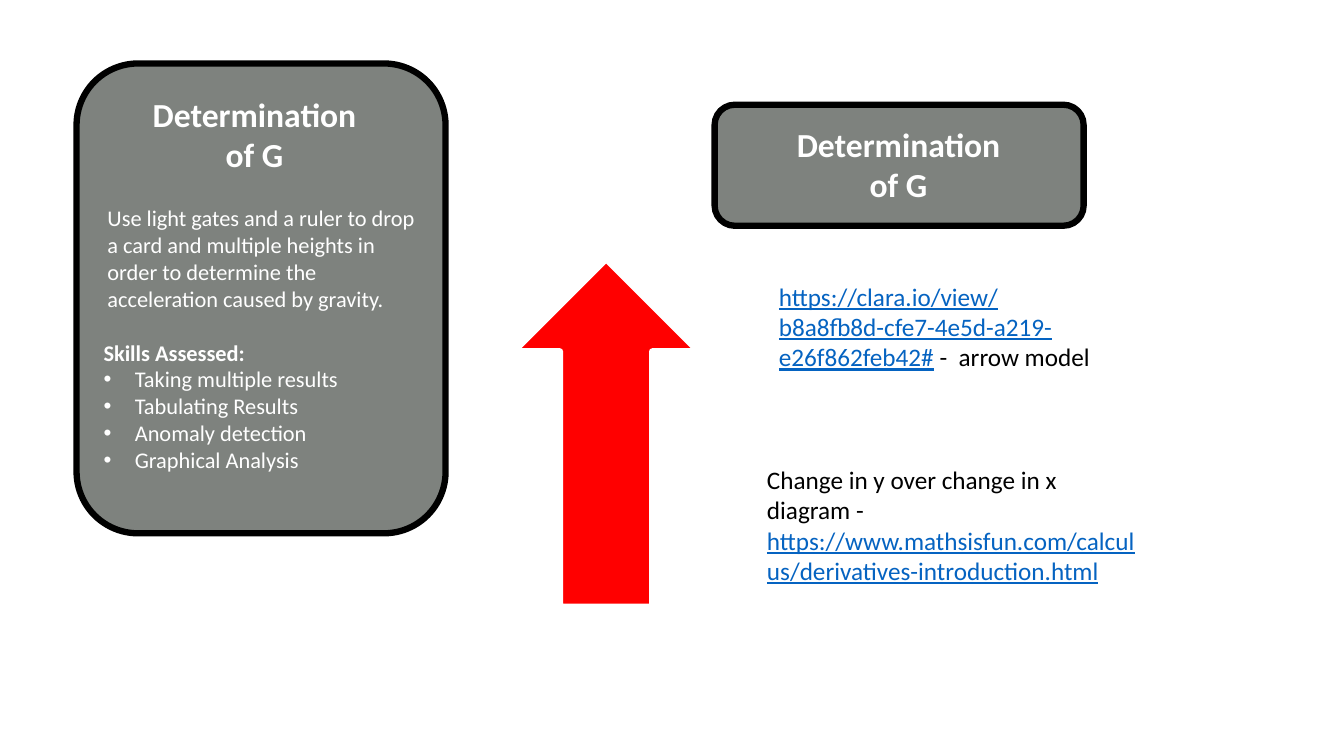
from dataclasses import dataclass

from lxml.etree import SubElement
from pptx import Presentation
from pptx.dml.color import RGBColor
from pptx.enum.shapes import MSO_SHAPE
from pptx.enum.text import MSO_AUTO_SIZE, PP_ALIGN
from pptx.oxml.ns import qn
from pptx.slide import Slide
from pptx.text.text import _Paragraph
from pptx.util import Cm, Pt

COLOURS = {
    "card": "7E827E",
    "black": "000000",
    "white": "FFFFFF",
    "arrow": "FF0000",
    "link": "0563C1",
}
BULLET_INDENT = Cm(0.79)


@dataclass(frozen=True)
class Area:
    left: float
    top: float
    width: float
    height: float

    def lengths(self) -> list[Cm]:
        return [Cm(value) for value in (self.left, self.top, self.width, self.height)]


@dataclass(frozen=True)
class Block:
    kind: MSO_SHAPE
    area: Area
    fill: str
    line: str


@dataclass(frozen=True)
class Span:
    text: str
    colour: str = "white"
    bold: bool = False
    underline: bool = False


@dataclass(frozen=True)
class Line:
    spans: list[Span]
    bullet: bool = False


@dataclass(frozen=True)
class Note:
    area: Area
    size: int
    lines: list[Line]
    align: PP_ALIGN = PP_ALIGN.LEFT


TITLE = [Line([Span("Determination of G", bold=True)])]
SKILLS = ["Taking multiple results", "Tabulating Results", "Anomaly detection", "Graphical Analysis"]

BLOCKS = [
    Block(MSO_SHAPE.ROUNDED_RECTANGLE, Area(1.93, 1.6, 9.3, 11.84), "card", "black"),
    Block(MSO_SHAPE.ROUNDED_RECTANGLE, Area(18.01, 2.64, 9.3, 3.05), "card", "black"),
    Block(MSO_SHAPE.UP_ARROW, Area(12.95, 6.53, 4.65, 8.76), "arrow", "white"),
]

NOTES = [
    Note(Area(3.2, 2.24, 6.43, 2.31), 24, TITLE, PP_ALIGN.CENTER),
    Note(Area(2.46, 5.03, 8.43, 3), 16, [
        Line([Span("Use light gates and a ruler to drop a card and multiple heights "
                   "in order to determine the acceleration caused by gravity.")]),
    ]),
    Note(Area(2.36, 8.41, 8.43, 4.37), 16, [
        Line([Span("Skills Assessed:", bold=True)]),
        *[Line([Span(skill)], bullet=True) for skill in SKILLS],
    ]),
    Note(Area(19.43, 3, 6.43, 2.31), 24, TITLE, PP_ALIGN.CENTER),
    Note(Area(19.38, 6.96, 8.43, 2.57), 18, [
        Line([
            Span("https://clara.io/view/b8a8fb8d-cfe7-4e5d-a219-e26f862feb42#", "link", underline=True),
            Span(" -  arrow model", "black"),
        ]),
    ]),
    Note(Area(19.08, 11.58, 9.8, 3.33), 18, [
        Line([
            Span("Change in y over change in x diagram - ", "black"),
            Span("https://www.mathsisfun.com/calculus/derivatives-introduction.html", "link", underline=True),
        ]),
    ]),
]


def colour(name: str) -> RGBColor:
    return RGBColor.from_string(COLOURS[name])


def draw_block(page: Slide, block: Block) -> None:
    shape = page.shapes.add_shape(block.kind, *block.area.lengths())
    shape.shadow.inherit = False
    shape.fill.solid()
    shape.fill.fore_color.rgb = colour(block.fill)
    shape.line.color.rgb = colour(block.line)
    shape.line.width = Pt(4.5)


def add_bullet(para: _Paragraph) -> None:
    properties = para._p.get_or_add_pPr()
    properties.set("marL", str(BULLET_INDENT))
    properties.set("indent", str(-BULLET_INDENT))
    SubElement(properties, qn("a:buFont"), typeface="Arial")
    SubElement(properties, qn("a:buChar"), char="•")


def draw_note(page: Slide, note: Note) -> None:
    frame = page.shapes.add_textbox(*note.area.lengths()).text_frame
    frame.word_wrap = True
    frame.auto_size = MSO_AUTO_SIZE.SHAPE_TO_FIT_TEXT
    for index, line in enumerate(note.lines):
        para = frame.add_paragraph() if index else frame.paragraphs[0]
        para.alignment = note.align
        if line.bullet:
            add_bullet(para)
        for span in line.spans:
            run = para.add_run()
            run.text = span.text
            font_format = {
                "name": "Calibri",
                "size": Pt(note.size),
                "bold": span.bold,
                "underline": span.underline,
            }
            for attribute, value in font_format.items():
                setattr(run.font, attribute, value)
            run.font.color.rgb = colour(span.colour)


def main() -> None:
    deck = Presentation()
    deck.slide_width, deck.slide_height = Cm(33.87), Cm(19.05)
    page = deck.slides.add_slide(deck.slide_layouts[6])
    for block in BLOCKS:
        draw_block(page, block)
    for note in NOTES:
        draw_note(page, note)
    deck.save("out.pptx")


if __name__ == "__main__":
    main()
